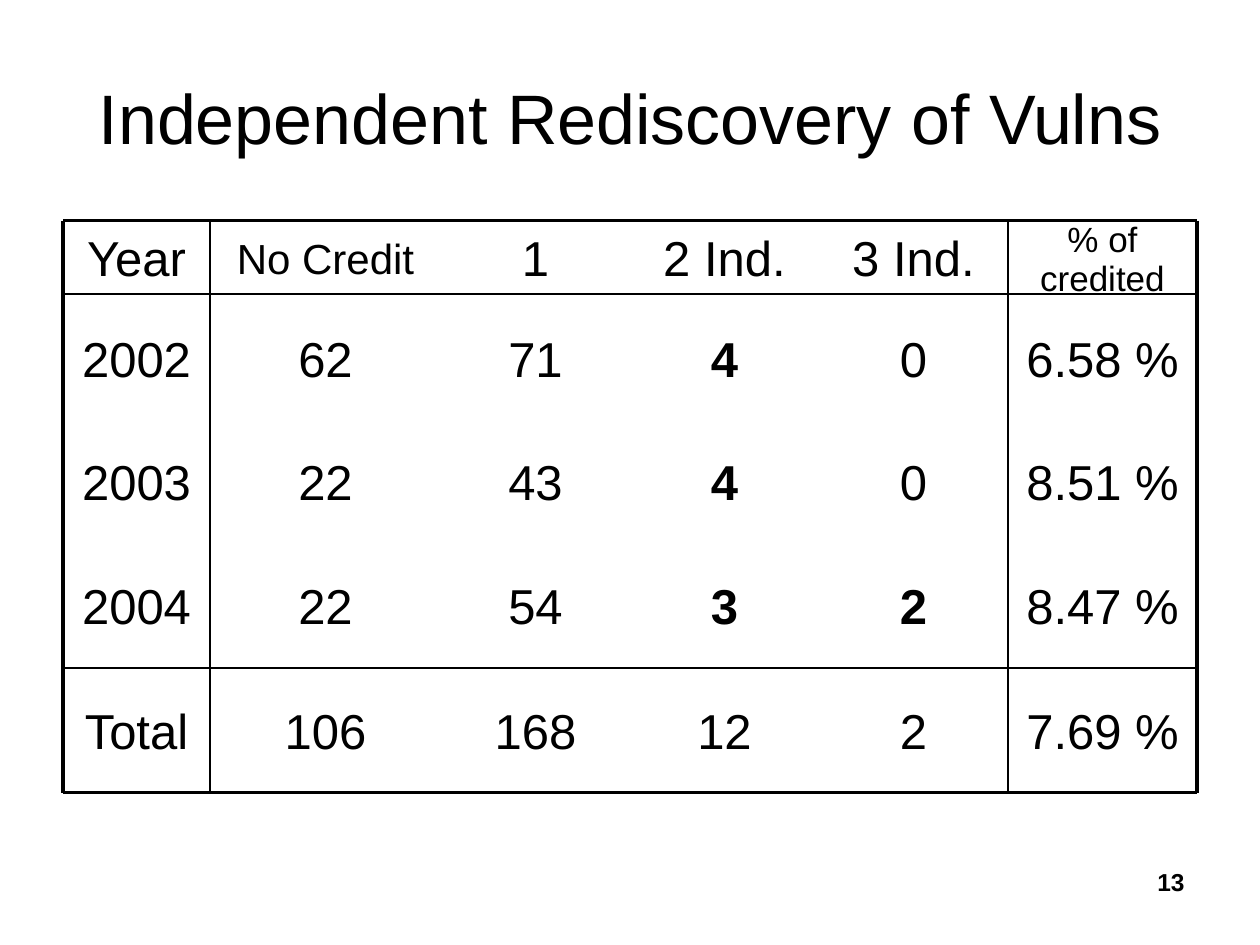
from lxml import etree
from pptx import Presentation
from pptx.dml.color import RGBColor
from pptx.enum.shapes import MSO_CONNECTOR
from pptx.enum.text import MSO_ANCHOR, PP_ALIGN
from pptx.oxml.ns import qn
from pptx.util import Pt

CENTER, RIGHT = PP_ALIGN.CENTER, PP_ALIGN.RIGHT
MIDDLE = MSO_ANCHOR.MIDDLE
STRAIGHT = MSO_CONNECTOR.STRAIGHT
BLACK = "000000"

TITLE = "Independent Rediscovery of Vulns"
PAGE = "13"
ROWS = [
    ["Year", "No Credit", "1", "2 Ind.", "3 Ind.", "% of credited"],
    ["2002", "62", "71", "4", "0", "6.58 %"],
    ["2003", "22", "43", "4", "0", "8.51 %"],
    ["2004", "22", "54", "3", "2", "8.47 %"],
    ["Total", "106", "168", "12", "2", "7.69 %"],
]
BOLD = {(1, 3), (2, 3), (3, 3), (3, 4)}
SIZES = {"No Credit": 24, "% of credited": 20}
COL_WIDTHS = [84, 132] + [108] * 4
ROW_HEIGHTS = [46, 69] + [71.25] * 3
LEFT, RIGHT_EDGE, TOP, BOTTOM = 36, 684, 126, 453
TABLE_TOP = 125.5
ROW_RULES = [(TOP, 2), (168, 1), (381.75, 1), (BOTTOM, 2)]
COL_RULES = [(LEFT, 2), (120, 1), (576, 1), (RIGHT_EDGE, 2)]


def color(value):
    return RGBColor.from_string(value)


def style(p, size, align, bold=False):
    p.alignment = align
    p.font.name = "Arial"
    p.font.size = Pt(size)
    p.font.bold = bold
    p.font.color.rgb = color(BLACK)


def clear_borders(cell):
    tcPr = cell._tc.get_or_add_tcPr()
    for i, side in enumerate("LRTB"):
        ln = etree.Element(qn(f"a:ln{side}"), w="0")
        etree.SubElement(ln, qn("a:noFill"))
        tcPr.insert(i, ln)


def add_rule(x1, y1, x2, y2, width):
    rule = s.shapes.add_connector(STRAIGHT, Pt(x1), Pt(y1), Pt(x2), Pt(y2))
    rule.line.width = Pt(width)
    rule.line.color.rgb = color(BLACK)
    etree.SubElement(rule._element.spPr, qn("a:effectLst"))


prs = Presentation()
prs.slide_width, prs.slide_height = Pt(720), Pt(540)
s = prs.slides.add_slide(prs.slide_layouts[5])

title = s.shapes.title
title.left, title.top, title.width, title.height = Pt(36), Pt(21.6), Pt(648), Pt(90)
title.text_frame.text = TITLE
title.text_frame.vertical_anchor = MIDDLE
style(title.text_frame.paragraphs[0], 40, CENTER)

table = s.shapes.add_table(len(ROWS), len(COL_WIDTHS), Pt(LEFT), Pt(TABLE_TOP),
                           Pt(sum(COL_WIDTHS)), Pt(sum(ROW_HEIGHTS))).table
table.first_row = table.horz_banding = False
for col, width in zip(table.columns, COL_WIDTHS):
    col.width = Pt(width)
for row, height in zip(table.rows, ROW_HEIGHTS):
    row.height = Pt(height)

for r, values in enumerate(ROWS):
    for c, text in enumerate(values):
        cell = table.cell(r, c)
        cell.text = text
        cell.vertical_anchor = MIDDLE
        cell.margin_top = cell.margin_bottom = 0
        cell.fill.background()
        clear_borders(cell)
        style(cell.text_frame.paragraphs[0], SIZES.get(text, 28), CENTER, (r, c) in BOLD)

for y, width in ROW_RULES:
    add_rule(LEFT, y, RIGHT_EDGE, y, width)
for x, width in COL_RULES:
    add_rule(x, TOP, x, BOTTOM, width)

tf = s.shapes.add_textbox(Pt(516), Pt(492), Pt(168), Pt(37.5)).text_frame
tf.word_wrap = True
tf.text = PAGE
style(tf.paragraphs[0], 14, RIGHT, True)

prs.save("out.pptx")
